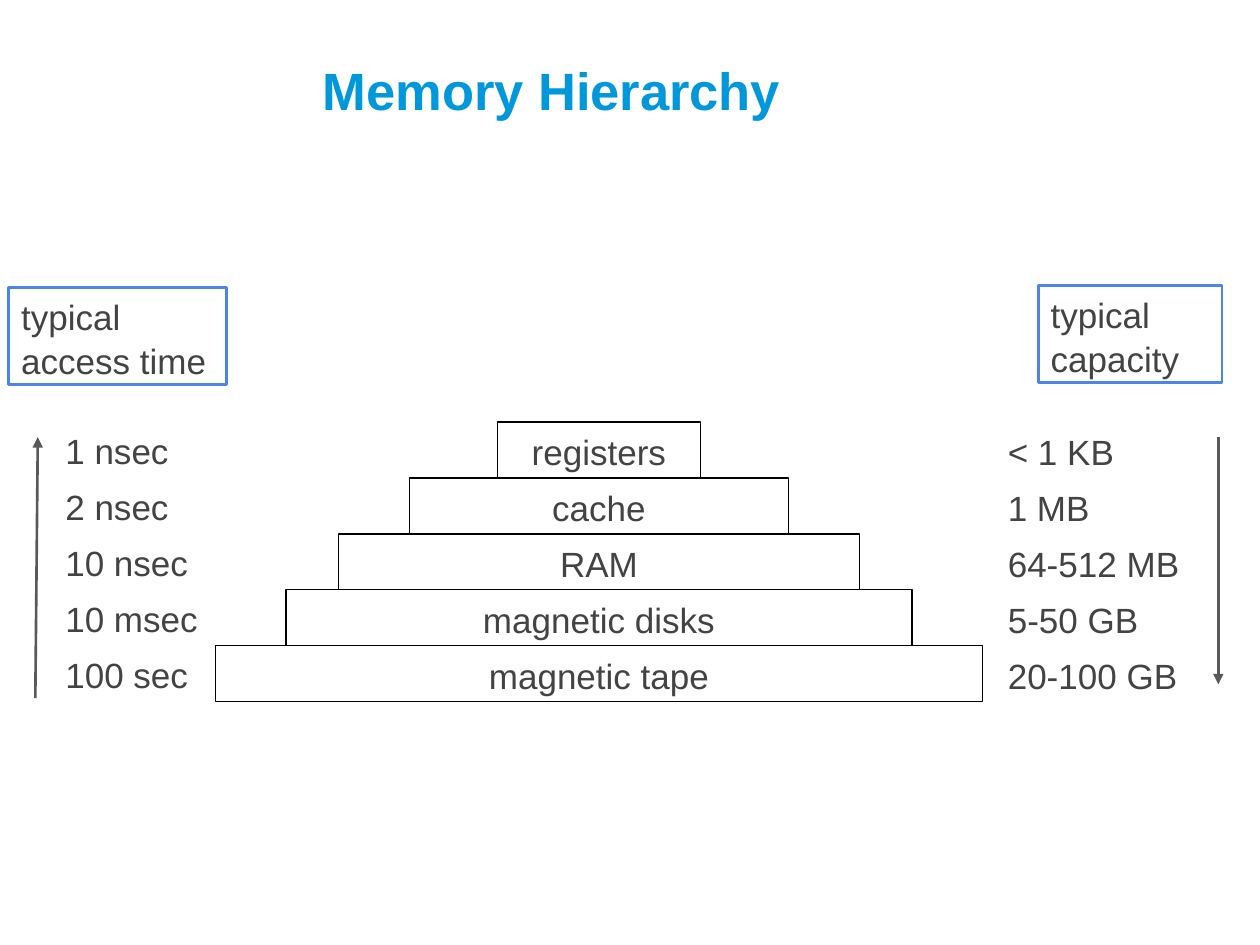
"""Build the Memory Hierarchy slide."""
from lxml.etree import SubElement
from pptx import Presentation
from pptx.dml.color import RGBColor
from pptx.enum.shapes import MSO_CONNECTOR as Connector, MSO_SHAPE as Shape
from pptx.enum.text import MSO_ANCHOR as Anchor, MSO_AUTO_SIZE as AutoSize, PP_ALIGN as Align
from pptx.oxml.ns import qn
from pptx.util import Pt

TITLE_BLUE = RGBColor(0x00, 0x98, 0xDB)
BOX_BLUE = RGBColor(0x4A, 0x86, 0xE8)
TEXT_GRAY = RGBColor(0x43, 0x43, 0x43)
ARROW_GRAY = RGBColor(0x59, 0x59, 0x59)
BLACK = RGBColor(0, 0, 0)

FIRST_TOP, ROW_PITCH = 241.2, 31.95
PYRAMID_CENTER = 342.3
TIME_LEFT, CAPACITY_LEFT = 30.25, 568.8
LEVELS = [
    ("1 nsec", "registers", 116, "< 1 KB"),
    ("2 nsec", "cache", 216.7, "1 MB"),
    ("10 nsec", "RAM", 297.4, "64-512 MB"),
    ("10 msec", "magnetic disks", 357.8, "5-50 GB"),
    ("100 sec", "magnetic tape", 438.5, "20-100 GB"),
]


def write(frame, text, size=20, color=TEXT_GRAY, bold=False, align=Align.LEFT,
          anchor=Anchor.TOP, inset=3.6):
    """Fill a text frame with one formatted paragraph."""
    frame.word_wrap = True
    frame.auto_size = AutoSize.NONE
    frame.vertical_anchor = anchor
    frame.margin_left = frame.margin_right = Pt(7.2)
    frame.margin_top = frame.margin_bottom = Pt(inset)
    frame.text = text
    paragraph = frame.paragraphs[0]
    paragraph.alignment = align
    paragraph.line_spacing = 1.05
    font = paragraph.runs[0].font
    font.name, font.size, font.bold = "Arial", Pt(size), bold
    font.color.rgb = color


def add_title(slide, text):
    """Place and format the slide title."""
    title = slide.shapes.title
    title.left, title.top, title.width, title.height = Pt(177.1), Pt(26.6), Pt(530.6), Pt(49.7)
    write(title.text_frame, text, 30, TITLE_BLUE, True, anchor=Anchor.BOTTOM, inset=7.2)


def add_box(slide, text, left, top, width, height, color, weight, align=Align.LEFT):
    """Add an outlined rectangle with text."""
    box = slide.shapes.add_shape(Shape.RECTANGLE, Pt(left), Pt(top), Pt(width), Pt(height))
    box.shadow.inherit = False
    box.fill.background()
    box.line.color.rgb = color
    box.line.width = Pt(weight)
    write(box.text_frame, text, align=align)


def add_label(slide, text, left, top):
    """Add a plain row label."""
    label = slide.shapes.add_textbox(Pt(left), Pt(top), Pt(121), Pt(31))
    write(label.text_frame, text)


def add_arrow(slide, *ends):
    """Add a line with a triangle head at its end point."""
    arrow = slide.shapes.add_connector(Connector.STRAIGHT, *map(Pt, ends))
    arrow.line.color.rgb = ARROW_GRAY
    arrow.line.width = Pt(1.5)
    SubElement(arrow.line._get_or_add_ln(), qn("a:tailEnd"), type="triangle")
    SubElement(arrow._element.spPr, qn("a:effectLst"))


def main():
    """Create and save the presentation."""
    deck = Presentation()
    deck.slide_width, deck.slide_height = Pt(720), Pt(540)
    slide = deck.slides.add_slide(deck.slide_layouts[5])
    add_title(slide, "Memory Hierarchy")
    for row, (time, level, width, capacity) in enumerate(LEVELS):
        top = FIRST_TOP + row * ROW_PITCH
        add_box(slide, level, PYRAMID_CENTER - width / 2, top, width, ROW_PITCH,
                BLACK, 0.75, Align.CENTER)
        add_label(slide, time, TIME_LEFT, top - 0.5)
        add_label(slide, capacity, CAPACITY_LEFT, top)
    add_box(slide, "typical access time", 5, 164.2, 124.6, 55.4, BOX_BLUE, 1.5)
    add_box(slide, "typical capacity", 593.3, 163.2, 105.1, 55.4, BOX_BLUE, 1.5)
    add_arrow(slide, 20.2, 398.9, 21.6, 249.8)
    add_arrow(slide, 696.2, 249.8, 696.2, 391)
    deck.save("out.pptx")


if __name__ == "__main__":
    main()
